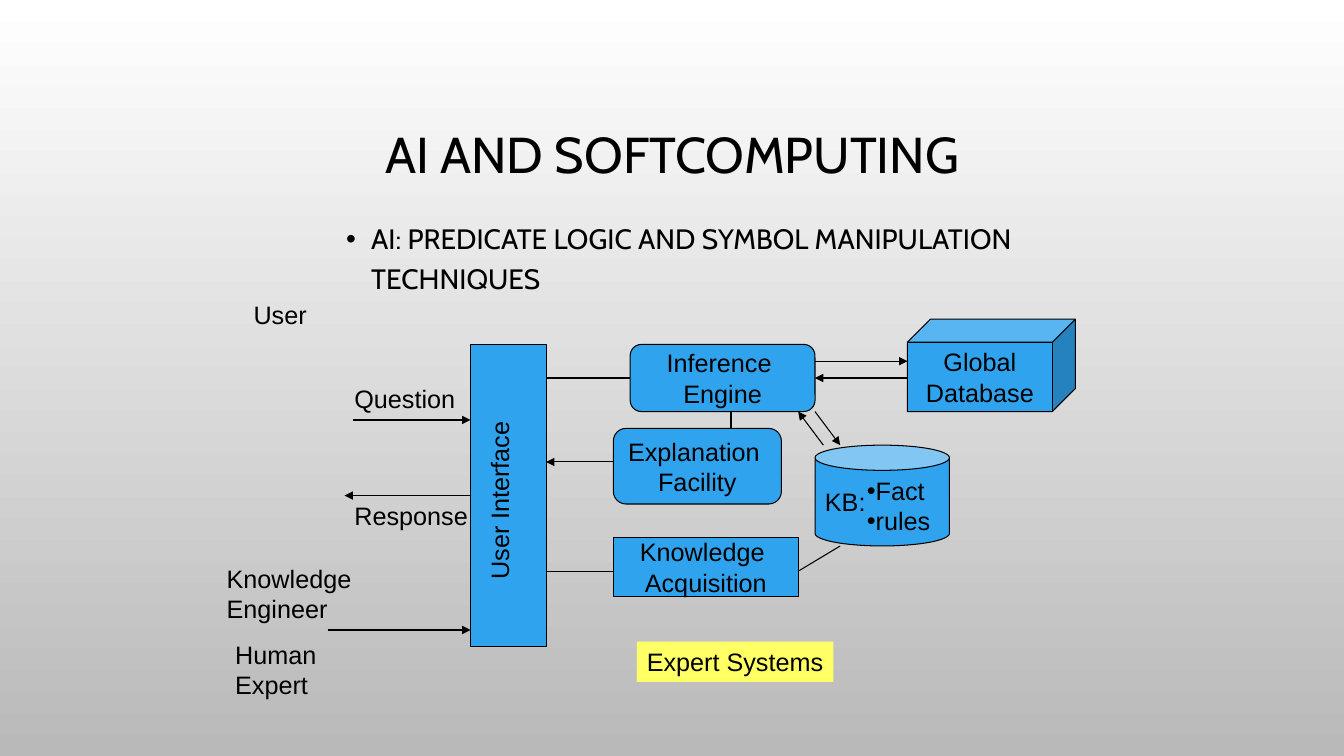
from lxml import etree
from pptx import Presentation
from pptx.dml.color import RGBColor
from pptx.enum.shapes import MSO_CONNECTOR, MSO_SHAPE
from pptx.enum.text import MSO_ANCHOR, MSO_AUTO_SIZE, PP_ALIGN
from pptx.oxml.ns import qn
from pptx.util import Inches, Pt

RECT, ROUND = MSO_SHAPE.RECTANGLE, MSO_SHAPE.ROUNDED_RECTANGLE
CAN, CUBE = MSO_SHAPE.CAN, MSO_SHAPE.CUBE
LEFT, CENTER = PP_ALIGN.LEFT, PP_ALIGN.CENTER
TOP, MIDDLE = MSO_ANCHOR.TOP, MSO_ANCHOR.MIDDLE
FIT = MSO_AUTO_SIZE.SHAPE_TO_FIT_TEXT
STRAIGHT = MSO_CONNECTOR.STRAIGHT
COLORS = {name: RGBColor.from_string(value) for name, value in {
    "ink": "000000", "block": "2FA3EE", "tag": "FFFF66",
    "sky": "FFFFFF", "ground": "B9B9B9"}.items()}

deck = Presentation()
deck.slide_width, deck.slide_height = Inches(13.33), Inches(7.5)
page = deck.slides.add_slide(deck.slide_layouts[6])
CELL = deck.slide_height / 90  # the grid has 160 columns and 90 rows


def grid(*lengths):
    return [round(length * CELL) for length in lengths]


def write(box, text, align=LEFT, anchor=TOP, font="Arial", size=18, bullet=False, hang=0):
    frame = box.text_frame
    frame.text = text
    frame.vertical_anchor = anchor
    for para in frame.paragraphs:
        para.alignment = align
        if bullet:
            props = para._p.get_or_add_pPr()
            props.set("marL", str(Inches(hang)))
            props.set("indent", str(-Inches(hang)))
            etree.SubElement(props, qn("a:buFont")).set("typeface", "Arial")
            etree.SubElement(props, qn("a:buChar")).set("char", "•")
        for span in para.runs:
            span.font.name, span.font.size = font, Pt(size)
            span.font.color.rgb = COLORS["ink"]
    return frame


# Background: white at the top, grey at the bottom
backdrop = page.background.fill
backdrop.gradient()
backdrop.gradient_angle = 270
for stop, name in zip(backdrop.gradient_stops, ("sky", "ground")):
    stop.color.rgb = COLORS[name]

# Title and topic
title = page.shapes.add_textbox(*grid(12, 8.2, 136, 21))
frame = write(title, "AI AND SOFTCOMPUTING", CENTER, MIDDLE, "Cabin", 36)
frame.word_wrap = True
frame.paragraphs[0].line_spacing = 0.9
topic = page.shapes.add_textbox(*grid(40, 25, 92, 54))
frame = write(topic, "AI: PREDICATE LOGIC AND SYMBOL MANIPULATION TECHNIQUES",
              font="Cabin", size=20, bullet=True, hang=0.25)
frame.word_wrap = True
frame.paragraphs[0].line_spacing = 1.2

# Blocks of the expert system: kind, place, text, alignment
blocks = [
    (RECT, (56, 41, 9, 36), "", CENTER),
    (ROUND, (75, 41, 22, 8), "Inference \nEngine", CENTER),
    (ROUND, (73, 51, 20, 9), "Explanation \nFacility", CENTER),
    (RECT, (73, 64, 22, 7), "Knowledge \nAcquisition", CENTER),
    (CAN, (97, 53, 16, 12), "KB:", LEFT),
    (CUBE, (108, 38, 20, 11), "Global\nDatabase", CENTER),
]
for kind, place, text, align in blocks:
    block = page.shapes.add_shape(kind, *grid(*place))
    block.shadow.inherit = False
    block.fill.solid()
    block.fill.fore_color.rgb = COLORS["block"]
    block.line.color.rgb = COLORS["ink"]
    block.line.width = Pt(0.75)
    if text:
        write(block, text, align, MIDDLE).word_wrap = False

# Links: start, end, arrowhead at the end
links = [
    ((39, 75), (56, 75), True),
    ((42, 50), (56, 50), True),
    ((56, 59), (41, 59), True),
    ((65, 45), (75, 45), False),
    ((87, 49), (87, 51), False),
    ((73, 55), (65, 55), True),
    ((98, 53), (95, 49), True),
    ((97, 49), (100, 53), True),
    ((97, 43), (108, 43), True),
    ((108, 45), (97, 45), True),
    ((65, 68), (73, 68), False),
    ((95, 68), (100, 65), False),
]
for start, end, arrow in links:
    link = page.shapes.add_connector(STRAIGHT, *grid(*start, *end))
    link.line.color.rgb = COLORS["ink"]
    link.line.width = Pt(0.75)
    if arrow:
        etree.SubElement(link.line._ln, qn("a:tailEnd")).set("type", "triangle")
    etree.SubElement(link._element.spPr, qn("a:effectLst"))

# Labels: place, text
labels = [
    ((29, 35, 8.8, 4.8), "User"),
    ((41, 45, 14.4, 4.8), "Question"),
    ((41, 59, 16, 4.8), "Response"),
    ((25.8, 66.5, 17.3, 8.4), "Knowledge\nEngineer"),
    ((26.8, 75.5, 12.1, 8.4), "Human\nExpert"),
    ((102, 56, 10, 8.4), "Fact\nrules"),
    ((57, 49.9, 6, 20.3), "User Interface"),
    ((75.8, 76.4, 23.4, 4.8), "Expert Systems"),
]
for place, text in labels:
    label = page.shapes.add_textbox(*grid(*place))
    frame = write(label, text, bullet=text.startswith("Fact"))
    frame.word_wrap = False
    frame.auto_size = FIT
    if text == "User Interface":
        frame._txBody.bodyPr.set("vert", "vert270")
    if text == "Expert Systems":
        label.fill.solid()
        label.fill.fore_color.rgb = COLORS["tag"]

deck.save("out.pptx")
